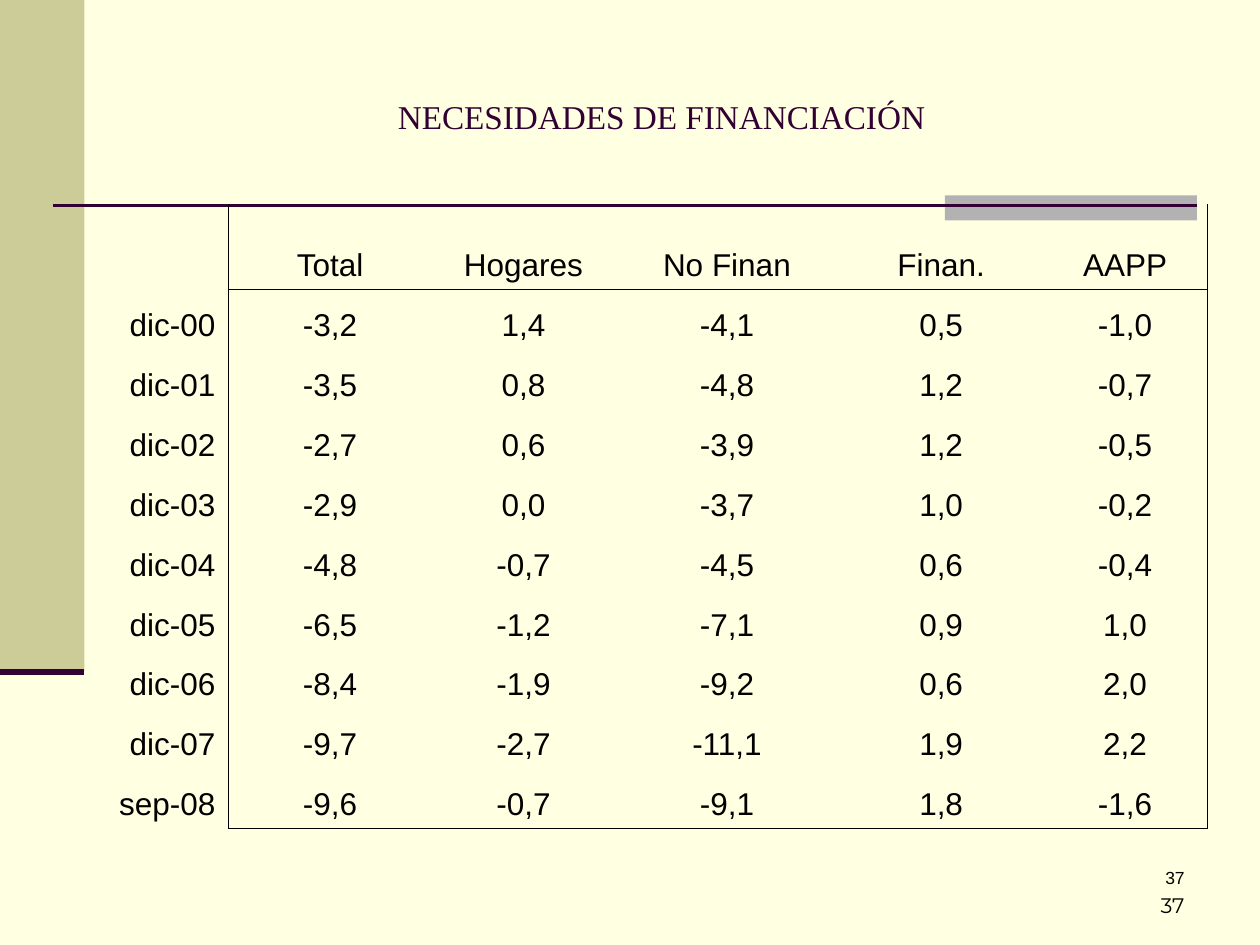
from lxml import etree
from pptx import Presentation
from pptx.dml.color import RGBColor
from pptx.enum.shapes import MSO_CONNECTOR, MSO_SHAPE
from pptx.enum.text import MSO_ANCHOR, PP_ALIGN
from pptx.oxml.ns import qn
from pptx.util import Inches, Pt

RECTANGLE = MSO_SHAPE.RECTANGLE
STRAIGHT = MSO_CONNECTOR.STRAIGHT
TOP, MIDDLE, BOTTOM = MSO_ANCHOR.TOP, MSO_ANCHOR.MIDDLE, MSO_ANCHOR.BOTTOM
CENTER, RIGHT = PP_ALIGN.CENTER, PP_ALIGN.RIGHT

COLORS = {
    "background": "FFFFE1",
    "band": "CCCC99",
    "accent": "B2B2B2",
    "plum": "330033",
    "ink": "000000",
}


def write(frame, text, size=18, font="Arial", color="ink", align=CENTER):
    paragraph = frame.paragraphs[0]
    paragraph.alignment = align
    run = paragraph.add_run()
    run.text = text
    run.font.size = Pt(size)
    run.font.name = font
    run.font.color.rgb = RGBColor.from_string(COLORS[color])


def set_borders(cell, visible):
    properties = cell._tc.get_or_add_tcPr()
    for side in "LRTB":
        line = etree.SubElement(properties, qn("a:ln" + side), w=str(Pt(0.45)))
        if side in visible:
            fill = etree.SubElement(line, qn("a:solidFill"))
            etree.SubElement(fill, qn("a:srgbClr"), val=COLORS["ink"])
        else:
            etree.SubElement(line, qn("a:noFill"))


prs = Presentation()
prs.slide_width, prs.slide_height = Inches(10), Inches(7.5)
slide = prs.slides.add_slide(prs.slide_layouts[6])
slide.background.fill.solid()
slide.background.fill.fore_color.rgb = RGBColor.from_string(COLORS["background"])

for left, top, width, height, color in [
    (0, 0, 0.67, 5.33, "band"),
    (7.5, 1.55, 2, 0.2, "accent"),
]:
    block = slide.shapes.add_shape(
        RECTANGLE, Inches(left), Inches(top), Inches(width), Inches(height))
    block.shadow.inherit = False
    block.fill.solid()
    block.fill.fore_color.rgb = RGBColor.from_string(COLORS[color])
    block.line.fill.background()

for start, end, y, weight in [(0.42, 9.5, 1.63, 1.5), (0, 0.67, 5.33, 3.5)]:
    rule = slide.shapes.add_connector(
        STRAIGHT, Inches(start), Inches(y), Inches(end), Inches(y))
    rule.line.color.rgb = RGBColor.from_string(COLORS["plum"])
    rule.line.width = Pt(weight)
    etree.SubElement(rule._element.spPr, qn("a:effectLst"))

for text, left, top, width, height, anchor, style in [
    ("37", 7.17, 6.83, 2.33, 0.5, BOTTOM,
     dict(size=12, font="Montserrat", align=RIGHT)),
    ("NECESIDADES DE FINANCIACIÓN", 1, 0.3, 8.5, 1.25, MIDDLE,
     dict(size=19, font="Times New Roman", color="plum")),
    ("37", 7.42, 6.83, 2.08, 0.5, TOP, dict(size=10, align=RIGHT)),
]:
    frame = slide.shapes.add_textbox(
        Inches(left), Inches(top), Inches(width), Inches(height)).text_frame
    frame.word_wrap = True
    frame.vertical_anchor = anchor
    write(frame, text, **style)

balances = [
    ["", "Total", "Hogares", "No Finan", "Finan.", "AAPP"],
    ["dic-00", "-3,2", "1,4", "-4,1", "0,5", "-1,0"],
    ["dic-01", "-3,5", "0,8", "-4,8", "1,2", "-0,7"],
    ["dic-02", "-2,7", "0,6", "-3,9", "1,2", "-0,5"],
    ["dic-03", "-2,9", "0,0", "-3,7", "1,0", "-0,2"],
    ["dic-04", "-4,8", "-0,7", "-4,5", "0,6", "-0,4"],
    ["dic-05", "-6,5", "-1,2", "-7,1", "0,9", "1,0"],
    ["dic-06", "-8,4", "-1,9", "-9,2", "0,6", "2,0"],
    ["dic-07", "-9,7", "-2,7", "-11,1", "1,9", "2,2"],
    ["sep-08", "-9,6", "-0,7", "-9,1", "1,8", "-1,6"],
]
column_widths = [1.3, 1.62, 1.45, 1.78, 1.62, 1.3]
last_row, last_column = len(balances) - 1, len(column_widths) - 1
table_height, header_height = 4.96, 0.68

table = slide.shapes.add_table(
    len(balances), len(column_widths), Inches(0.51), Inches(1.62),
    Inches(sum(column_widths)), Inches(table_height)).table
table.first_row = False
table.horz_banding = False
for column, width in zip(table.columns, column_widths):
    column.width = Inches(width)
for row in table.rows:
    row.height = Inches((table_height - header_height) / last_row)
table.rows[0].height = Inches(header_height)

for r, balance in enumerate(balances):
    for c, text in enumerate(balance):
        cell = table.cell(r, c)
        cell.margin_left = cell.margin_right = Inches(0.1)
        cell.margin_top = cell.margin_bottom = Inches(0.05)
        cell.vertical_anchor = BOTTOM
        visible = ""
        if c in (0, last_column):
            visible += "R"
        if c == 1:
            visible += "L"
        if c > 0 and r == 1:
            visible += "T"
        if c > 0 and r in (0, last_row):
            visible += "B"
        set_borders(cell, visible)
        cell.fill.background()
        if text:
            write(cell.text_frame, text, align=CENTER if c else RIGHT)

prs.save("out.pptx")
